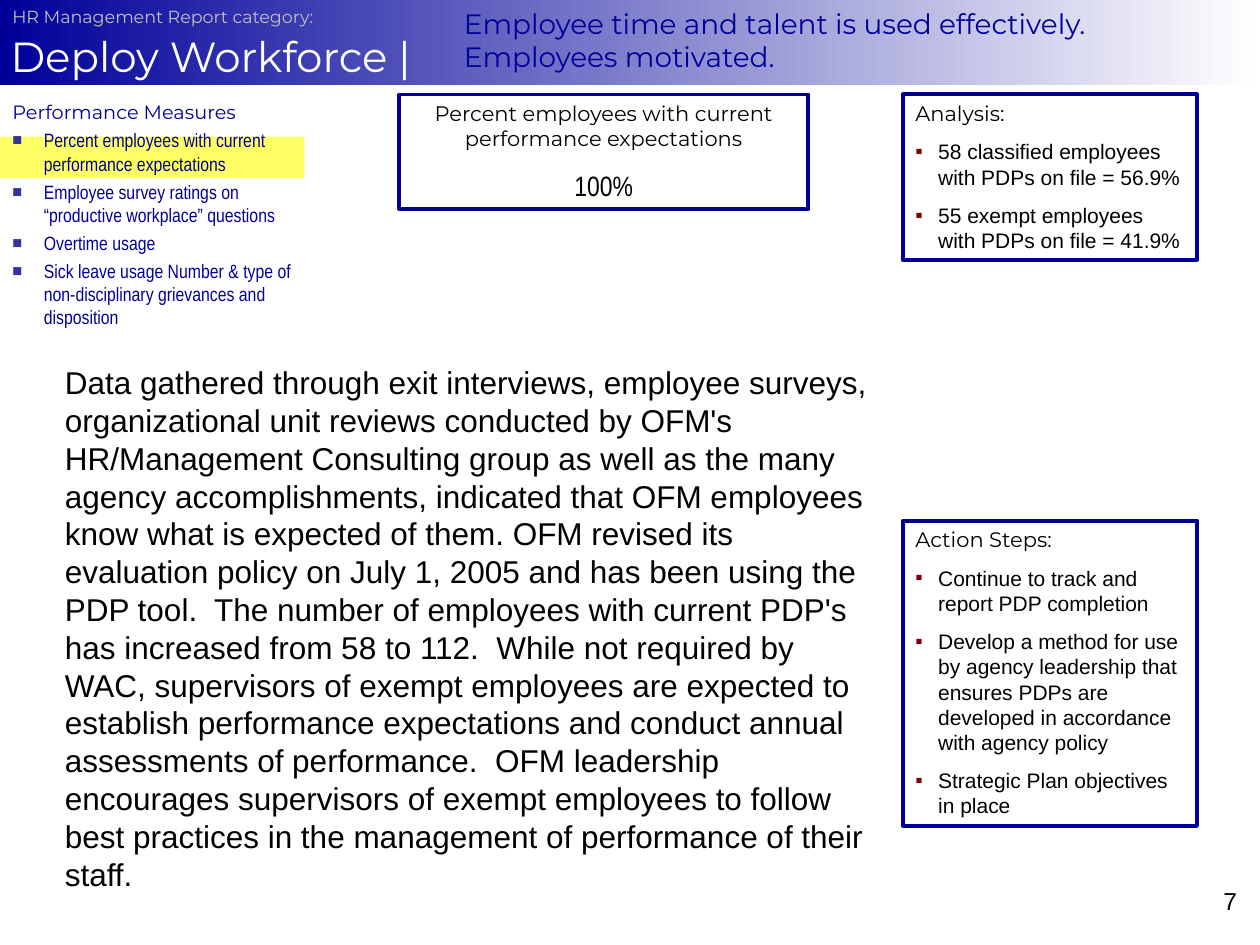
from lxml import etree
from pptx import Presentation
from pptx.dml.color import RGBColor
from pptx.enum import shapes, text
from pptx.oxml import ns
from pptx.util import Pt

NAVY = RGBColor(0x00, 0x00, 0x99)
INDIGO = RGBColor(0x33, 0x33, 0x99)
MAROON = RGBColor(0x80, 0x00, 0x00)
YELLOW = RGBColor(0xFF, 0xFF, 0x66)
SILVER = RGBColor(0xC0, 0xC0, 0xC0)
WHITE = RGBColor(0xFF, 0xFF, 0xFF)
BLACK = RGBColor(0x00, 0x00, 0x00)

HEADING = "Montserrat"
BODY = "Arial"
NARROW = "Arial Narrow"

MEASURES = [
    "Percent employees with current performance expectations",
    "Employee survey ratings on “productive workplace” questions",
    "Overtime usage",
    "Sick leave usage Number & type of non-disciplinary grievances and disposition",
]
ANALYSIS = [
    "58 classified employees with PDPs on file = 56.9%",
    "55 exempt employees with PDPs on file = 41.9%",
]
ACTIONS = [
    "Continue to track and report PDP completion",
    "Develop a method for use by agency leadership that ensures PDPs are "
    "developed in accordance with agency policy",
    "Strategic Plan objectives in place",
]
FINDINGS = (
    "Data gathered through exit interviews, employee surveys, organizational unit "
    "reviews conducted by OFM's HR/Management Consulting group as well as the many "
    "agency accomplishments, indicated that OFM employees know what is expected of "
    "them. OFM revised its evaluation policy on July 1, 2005 and has been using the "
    "PDP tool.  The number of employees with current PDP's has increased from 58 to "
    "112.  While not required by WAC, supervisors of exempt employees are expected to "
    "establish performance expectations and conduct annual assessments of "
    "performance.  OFM leadership encourages supervisors of exempt employees to "
    "follow best practices in the management of performance of their staff."
)


def write(paragraph, words, font, size, color, align=text.PP_ALIGN.LEFT):
    paragraph.text = words
    paragraph.alignment = align
    for run in paragraph.runs:
        run.font.name = font
        run.font.size = Pt(size)
        run.font.color.rgb = color


def add_bullet(paragraph, glyph, color, indent, percent):
    props = paragraph._p.get_or_add_pPr()
    props.set("marL", str(Pt(indent)))
    props.set("indent", str(-Pt(indent)))
    tint = etree.SubElement(props, ns.qn("a:buClr"))
    etree.SubElement(tint, ns.qn("a:srgbClr"), val=str(color))
    etree.SubElement(props, ns.qn("a:buSzPct"), val=str(percent * 1000))
    etree.SubElement(props, ns.qn("a:buFont"), typeface=BODY)
    etree.SubElement(props, ns.qn("a:buChar"), char=glyph)


def prepare_frame(frame):
    frame.word_wrap = True
    frame.auto_size = text.MSO_AUTO_SIZE.NONE
    frame.vertical_anchor = text.MSO_ANCHOR.TOP
    return frame


def add_label(slide, left, top, width, height, words, font, size, color,
              align=text.PP_ALIGN.LEFT):
    label = slide.shapes.add_textbox(Pt(left), Pt(top), Pt(width), Pt(height))
    frame = prepare_frame(label.text_frame)
    write(frame.paragraphs[0], words, font, size, color, align)
    return frame


def add_panel(slide, left, top, width, height):
    panel = slide.shapes.add_shape(
        shapes.MSO_SHAPE.RECTANGLE, Pt(left), Pt(top), Pt(width), Pt(height))
    panel.shadow.inherit = False
    panel.fill.background()
    panel.line.color.rgb = NAVY
    panel.line.width = Pt(2.25)
    return prepare_frame(panel.text_frame)


def add_items(frame, items, glyph, glyph_color, indent, percent, gap, font, size, color):
    for item in items:
        paragraph = frame.add_paragraph()
        add_bullet(paragraph, glyph, glyph_color, indent, percent)
        paragraph.space_before = Pt(gap)
        write(paragraph, item, font, size, color)


def add_side_panel(slide, top, height, heading, items):
    frame = add_panel(slide, 516, top, 168, height)
    write(frame.paragraphs[0], heading, HEADING, 12, BLACK)
    add_items(frame, items, "▪", MAROON, 13, 100, 7.5, BODY, 12, BLACK)


def add_measures(slide):
    highlight = slide.shapes.add_shape(
        shapes.MSO_SHAPE.RECTANGLE, 0, Pt(78), Pt(174), Pt(24))
    highlight.shadow.inherit = False
    highlight.fill.solid()
    highlight.fill.fore_color.rgb = YELLOW
    highlight.line.fill.background()
    frame = add_label(slide, 0, 54, 174, 150, "Performance Measures", HEADING, 11, NAVY)
    add_items(frame, MEASURES, "■", INDIGO, 18, 85, 2.8, NARROW, 11, NAVY)


def add_title(slide):
    title = slide.shapes.title
    title.left, title.top, title.width, title.height = 0, 0, Pt(720), Pt(48.75)
    title.fill.gradient()
    title.fill.gradient_angle = 180
    for stop, color in zip(title.fill.gradient_stops, (WHITE, NAVY)):
        stop.color.rgb = color
    frame = prepare_frame(title.text_frame)
    frame.margin_left = frame.margin_right = Pt(6)
    frame.margin_top = frame.margin_bottom = Pt(3)
    heading = frame.paragraphs[0]
    write(heading, "Deploy Workforce |", HEADING, 24, WHITE)
    heading.line_spacing = 1.5
    heading.space_before = Pt(0)


def add_percent_panel(slide):
    frame = add_panel(slide, 228, 54, 234, 65.5)
    write(frame.paragraphs[0], "Percent employees with current performance expectations",
          HEADING, 12, BLACK, text.PP_ALIGN.CENTER)
    percent = frame.add_paragraph()
    percent.space_before = Pt(10)
    write(percent, "100%", NARROW, 16, BLACK, text.PP_ALIGN.CENTER)


def main():
    deck = Presentation()
    deck.slide_width, deck.slide_height = Pt(720), Pt(540)
    slide = deck.slides.add_slide(deck.slide_layouts[5])
    add_title(slide)
    add_measures(slide)
    add_label(slide, 258, 0, 438, 46,
              "Employee time and talent is used effectively. Employees motivated.",
              HEADING, 16, NAVY)
    add_label(slide, 0, 0, 216, 19.5, "HR Management Report category:", HEADING, 10, SILVER)
    add_percent_panel(slide)
    add_label(slide, 30, 204, 474, 309.5, FINDINGS, BODY, 18, BLACK)
    add_side_panel(slide, 54, 94.5, "Analysis:", ANALYSIS)
    add_side_panel(slide, 297.5, 174.5, "Action Steps:", ACTIONS)
    add_label(slide, 546, 502.5, 168, 37.5, "7", BODY, 14, BLACK, text.PP_ALIGN.RIGHT)
    deck.save("out.pptx")


if __name__ == "__main__":
    main()
